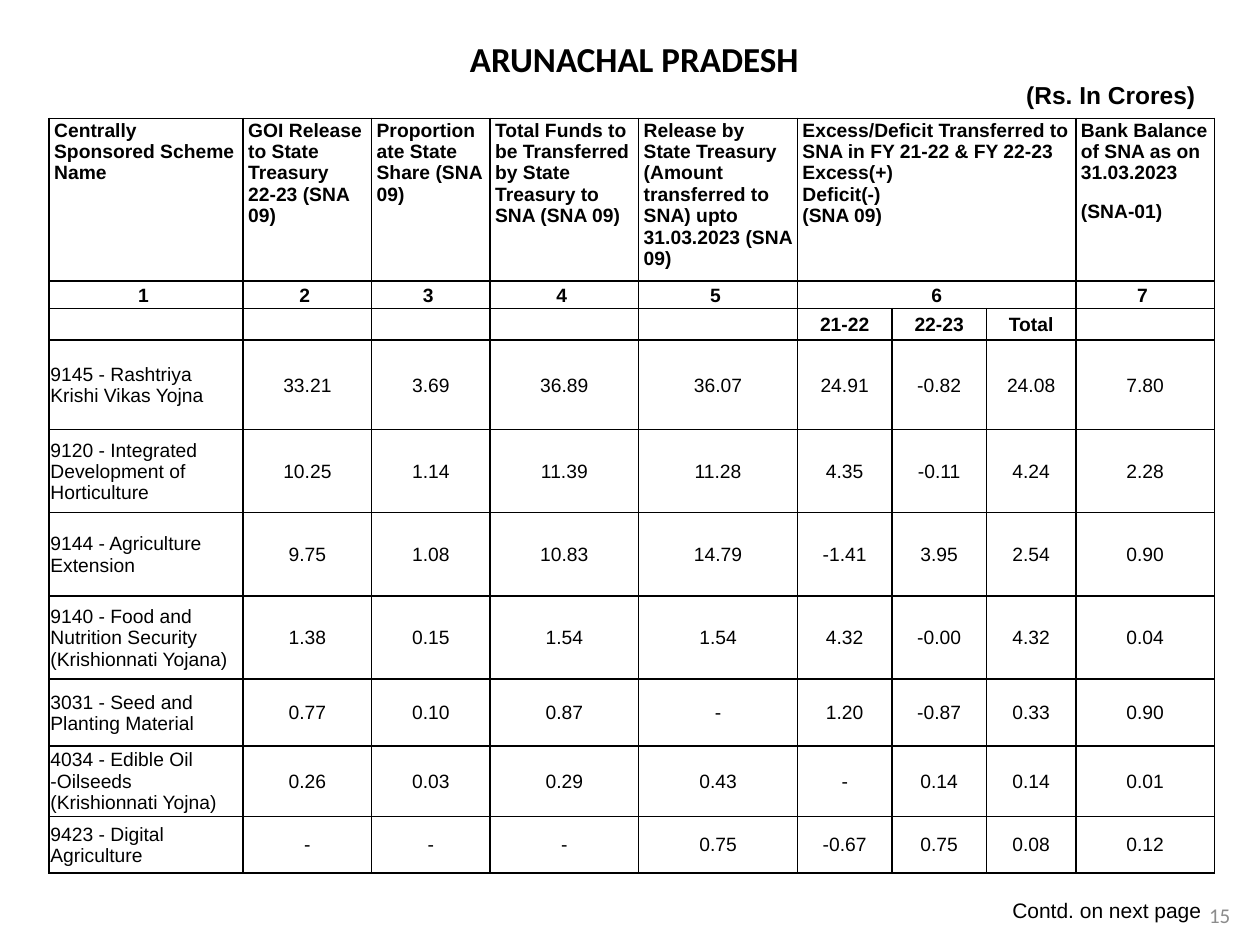
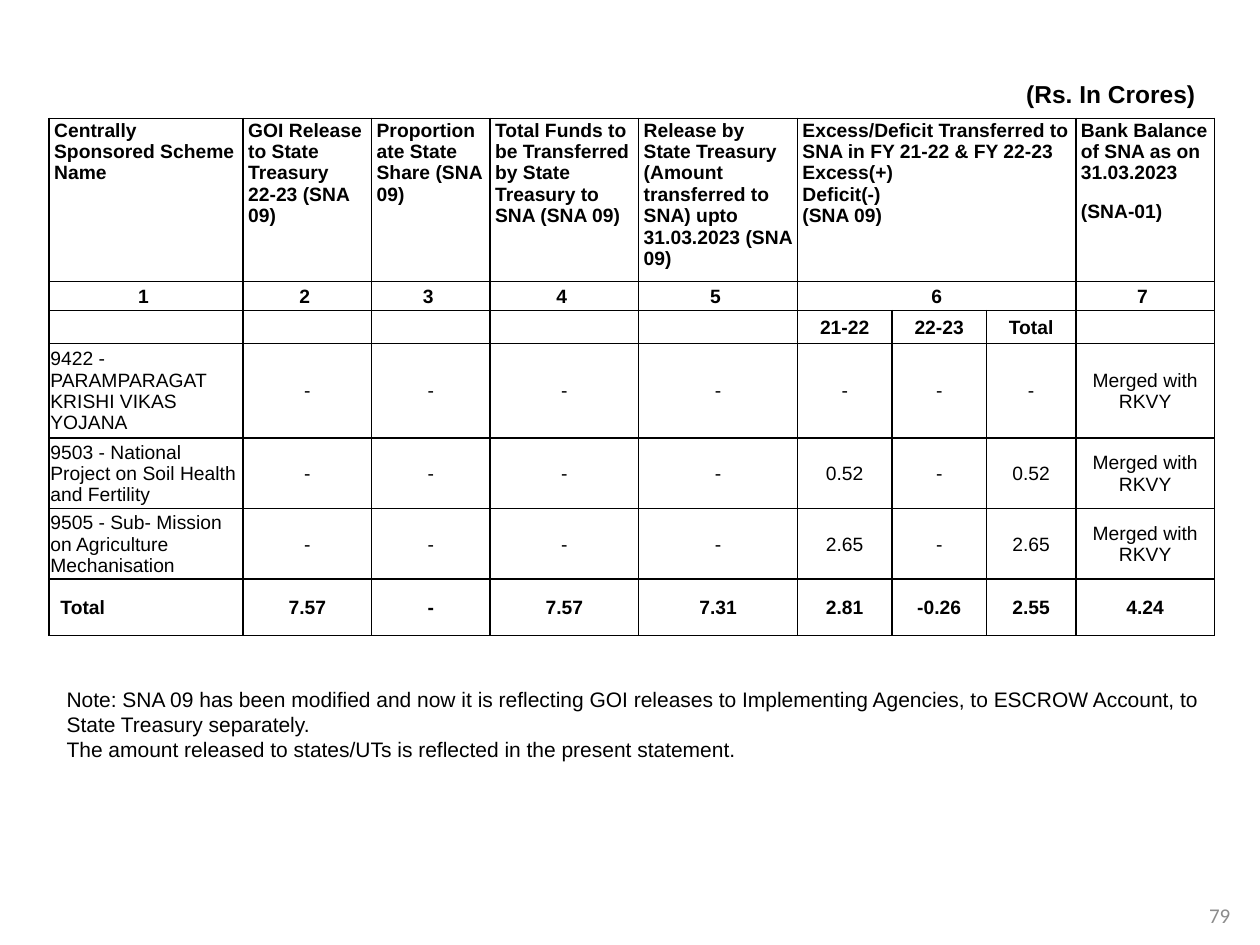
from dataclasses import dataclass

import lxml.etree
import pptx
import pptx.dml.color
import pptx.enum.text
import pptx.oxml.ns
import pptx.util

Inches = pptx.util.Inches
Pt = pptx.util.Pt
Align = pptx.enum.text.PP_ALIGN
Anchor = pptx.enum.text.MSO_ANCHOR
qn = pptx.oxml.ns.qn

BLACK = pptx.dml.color.RGBColor(0x00, 0x00, 0x00)
GREY = pptx.dml.color.RGBColor(0x8C, 0x8C, 0x8C)


@dataclass(frozen=True)
class Line:
    text: str
    size: float = 12
    align: Align = Align.LEFT
    font: str = "Arial"
    color: pptx.dml.color.RGBColor = BLACK
    bold: bool = False
    after: float = 0
    spacing: float = 1.0


@dataclass(frozen=True)
class Box:
    left: float
    top: float
    width: float
    height: float
    lines: tuple[Line, ...]
    anchor: Anchor = Anchor.TOP
    wrap: bool = True


@dataclass(frozen=True)
class Scheme:
    height: float
    name: str
    amounts: tuple[str, ...]
    total: bool = False


@dataclass(frozen=True)
class Statement:
    page: str
    number_row: float
    year_row: float
    schemes: tuple[Scheme, ...]
    boxes: tuple[Box, ...]


COLUMN_WIDTHS = (1.54, 1.02, 0.94, 1.18, 1.26, 0.75, 0.75, 0.71, 1.1)
HEADER_HEIGHT = 1.29
EXCESS_COLUMN = 5
EXCESS_YEARS = ("21-22", "22-23", "Total")
HEADINGS = {
    0: ("Centrally Sponsored Scheme Name",),
    1: ("GOI Release to State Treasury\v22-23 (SNA 09)",),
    2: ("Proportionate State Share (SNA 09)",),
    3: ("Total Funds to be Transferred by State Treasury to SNA (SNA 09)",),
    4: ("Release by State Treasury (Amount transferred to SNA) upto 31.03.2023 (SNA 09)",),
    5: ("Excess/Deficit Transferred to SNA in FY 21-22 & FY 22-23",
        "Excess(+)", "Deficit(-)", "(SNA 09)"),
    8: ("Bank Balance of SNA as on 31.03.2023", "(SNA-01)"),
}
HEADER_INSETS = (0.04, 0.01, 0.04, 0)
BODY_INSETS = (0.01, 0.01, 0.01, 0)
TOTAL_INSETS = (0.09, 0.01, 0.01, 0)

UNIT = Line("(Rs. In Crores) ", 14, Align.RIGHT, bold=True)
MERGED = "Merged with RKVY"

STATEMENTS = (
    Statement("15", 0.22, 0.25, (
        Scheme(0.71, "9145 - Rashtriya Krishi Vikas Yojna",
               ("33.21", "3.69", "36.89", "36.07", "24.91", "-0.82", "24.08", "7.80")),
        Scheme(0.66, "9120 - Integrated Development of Horticulture",
               ("10.25", "1.14", "11.39", "11.28", "4.35", "-0.11", "4.24", "2.28")),
        Scheme(0.66, "9144 - Agriculture Extension",
               ("9.75", "1.08", "10.83", "14.79", "-1.41", "3.95", "2.54", "0.90")),
        Scheme(0.66, "9140 - Food and Nutrition Security (Krishionnati Yojana)",
               ("1.38", "0.15", "1.54", "1.54", "4.32", "-0.00", "4.32", "0.04")),
        Scheme(0.53, "3031 - Seed and Planting Material",
               ("0.77", "0.10", "0.87", "-", "1.20", "-0.87", "0.33", "0.90")),
        Scheme(0.56, "4034 - Edible Oil -Oilseeds (Krishionnati Yojna)",
               ("0.26", "0.03", "0.29", "0.43", "-", "0.14", "0.14", "0.01")),
        Scheme(0.45, "9423 - Digital Agriculture",
               ("-", "-", "-", "0.75", "-0.67", "0.75", "0.08", "0.12")),
    ), (
        Box(0.43, 0.25, 9.21, 0.67, (
            Line("ARUNACHAL PRADESH", 20, Align.CENTER, "Calibri", bold=True), UNIT)),
        Box(7.93, 7.07, 1.71, 0.3, (Line("Contd. on next page", align=Align.CENTER),),
            Anchor.MIDDLE, False),
    )),
    Statement("79", 0.23, 0.26, (
        Scheme(0.75, "9422 - PARAMPARAGAT KRISHI VIKAS YOJANA", ("-",) * 7 + (MERGED,)),
        Scheme(0.56, "9503 - National Project on Soil Health and Fertility",
               ("-", "-", "-", "-", "0.52", "-", "0.52", MERGED)),
        Scheme(0.56, "9505 - Sub- Mission on Agriculture Mechanisation",
               ("-", "-", "-", "-", "2.65", "-", "2.65", MERGED)),
        Scheme(0.45, "Total",
               ("7.57", "-", "7.57", "7.31", "2.81", "-0.26", "2.55", "4.24"), True),
    ), (
        Box(0.43, 0.34, 9.21, 0.57, (UNIT,), Anchor.BOTTOM),
        Box(0.43, 5.4, 9.22, 0.71, (
            Line("Note: SNA 09 has been modified and now it is reflecting GOI releases to "
                 "Implementing Agencies, to ESCROW Account, to State Treasury separately."),
            Line("The amount released to states/UTs is reflected in the present statement."))),
    )),
)


def write(frame, lines: tuple[Line, ...]) -> None:
    for index, line in enumerate(lines):
        paragraph = frame.add_paragraph() if index else frame.paragraphs[0]
        paragraph.text = line.text
        paragraph.alignment = line.align
        paragraph.line_spacing = line.spacing
        paragraph.space_before = Pt(0)
        paragraph.space_after = Pt(line.after)
        paragraph.font.size = Pt(line.size)
        paragraph.font.name = line.font
        paragraph.font.bold = line.bold
        paragraph.font.color.rgb = line.color
        if not line.text:
            lxml.etree.SubElement(paragraph._p, qn("a:endParaRPr"), sz=str(int(line.size * 100)))


def draw_box(slide, box: Box) -> None:
    frame = slide.shapes.add_textbox(
        Inches(box.left), Inches(box.top), Inches(box.width), Inches(box.height)).text_frame
    frame.word_wrap = box.wrap
    frame.vertical_anchor = box.anchor
    write(frame, box.lines)


def style_cell(cell) -> None:
    properties = cell._tc.get_or_add_tcPr()
    for side in ("a:lnL", "a:lnR", "a:lnT", "a:lnB"):
        border = lxml.etree.SubElement(properties, qn(side), w=str(Pt(1)))
        fill = lxml.etree.SubElement(border, qn("a:solidFill"))
        lxml.etree.SubElement(fill, qn("a:srgbClr"), val=str(BLACK))
    cell.fill.background()


def fill_cell(cell, lines: tuple[Line, ...], insets: tuple[float, ...], anchor: Anchor) -> None:
    cell.margin_left, cell.margin_top, cell.margin_right, cell.margin_bottom = map(Inches, insets)
    cell.vertical_anchor = anchor
    write(cell.text_frame, lines)


def draw_table(slide, statement: Statement) -> None:
    heights = (HEADER_HEIGHT, statement.number_row, statement.year_row,
               *(scheme.height for scheme in statement.schemes))
    table = slide.shapes.add_table(
        len(heights), len(COLUMN_WIDTHS), Inches(0.39), Inches(0.94),
        Inches(sum(COLUMN_WIDTHS)), Inches(sum(heights))).table
    for column, width in zip(table.columns, COLUMN_WIDTHS):
        column.width = Inches(width)
    for row, height in zip(table.rows, heights):
        row.height = Inches(height)
    for cell in table.iter_cells():
        style_cell(cell)

    last_excess = EXCESS_COLUMN + len(EXCESS_YEARS) - 1
    for row in range(2):
        table.cell(row, EXCESS_COLUMN).merge(table.cell(row, last_excess))
    for number, (column, texts) in enumerate(HEADINGS.items(), 1):
        is_excess = column == EXCESS_COLUMN
        heading = tuple(Line(text, 11, bold=True, after=0 if is_excess else 10) for text in texts)
        label = f"{number}" if is_excess else f"{number} "
        fill_cell(table.cell(0, column), heading, HEADER_INSETS, Anchor.TOP)
        fill_cell(table.cell(1, column),
                  (Line(label, 11, Align.CENTER, bold=True, after=10, spacing=1.15),),
                  HEADER_INSETS, Anchor.TOP)

    years = ("",) * EXCESS_COLUMN + EXCESS_YEARS + ("",)
    for column, year in enumerate(years):
        fill_cell(table.cell(2, column), (Line(year, 11, Align.CENTER, bold=True),),
                  BODY_INSETS, Anchor.MIDDLE)
    for row, scheme in enumerate(statement.schemes, 3):
        fill_cell(table.cell(row, 0), (Line(scheme.name, 11, bold=scheme.total),),
                  TOTAL_INSETS if scheme.total else BODY_INSETS, Anchor.MIDDLE)
        for column, amount in enumerate(scheme.amounts, 1):
            fill_cell(table.cell(row, column),
                      (Line(amount, 11, Align.CENTER, bold=scheme.total),),
                      BODY_INSETS, Anchor.MIDDLE)


def main() -> None:
    deck = pptx.Presentation()
    deck.slide_width = Inches(10)
    deck.slide_height = Inches(7.5)
    for statement in STATEMENTS:
        slide = deck.slides.add_slide(deck.slide_layouts[6])
        draw_table(slide, statement)
        page_number = Box(9.48, 7.06, 0.4, 0.4, (
            Line(statement.page, 12, Align.CENTER, "Calibri", GREY),), Anchor.MIDDLE)
        for box in (*statement.boxes, page_number):
            draw_box(slide, box)
    deck.save("out.pptx")


if __name__ == "__main__":
    main()
